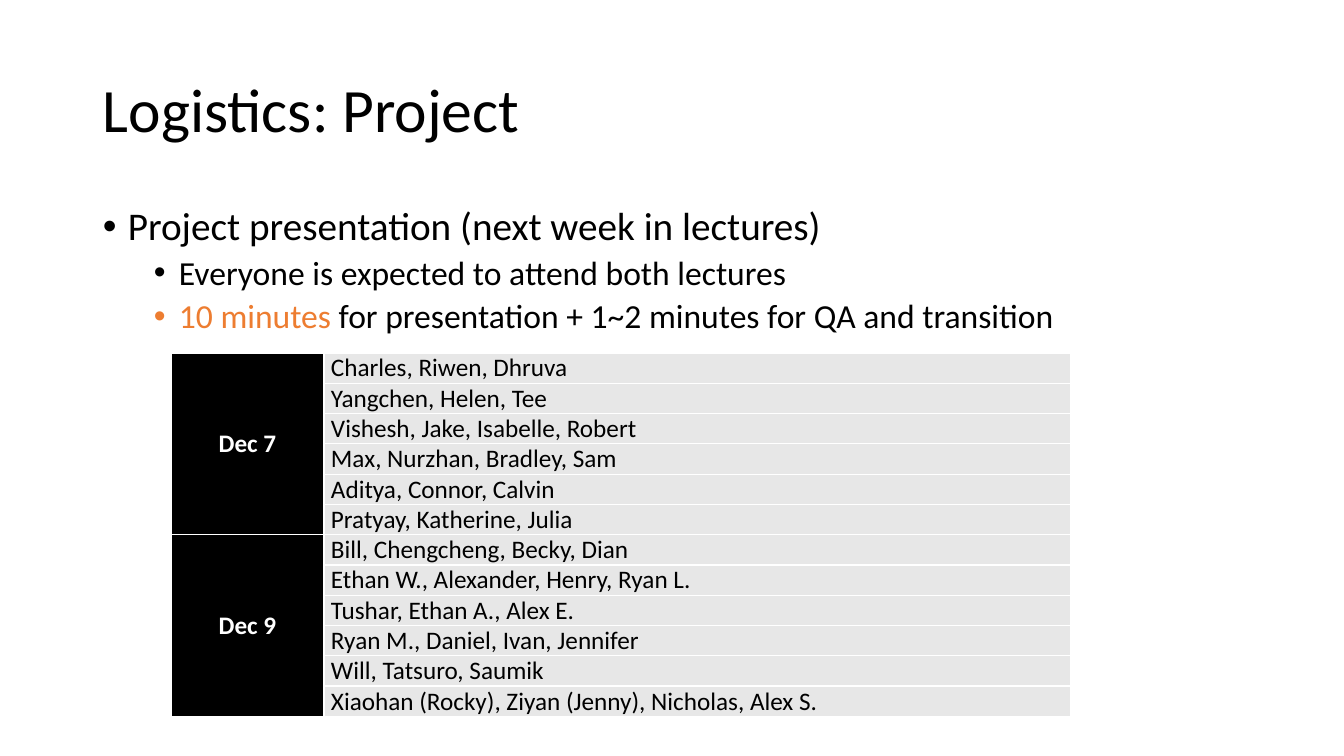
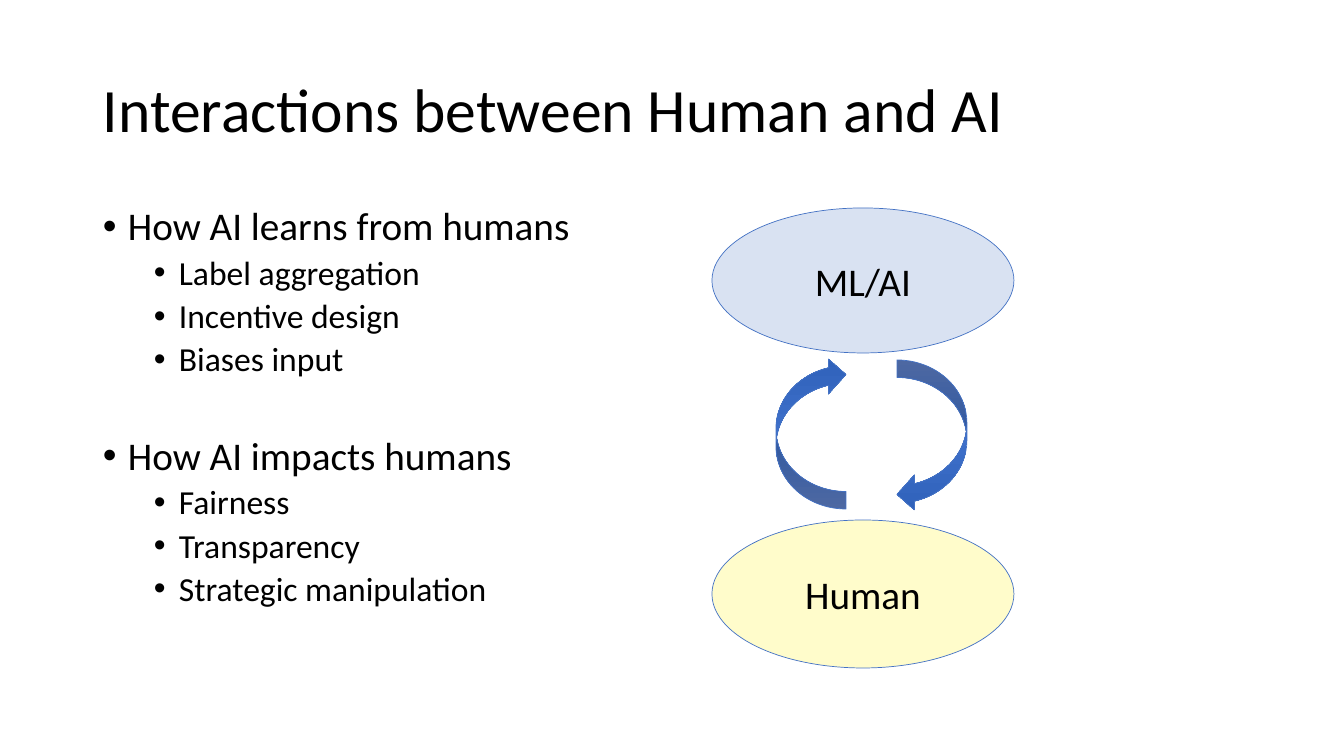
from lxml import etree
from pptx import Presentation
from pptx.dml.color import RGBColor
from pptx.enum.shapes import MSO_SHAPE
from pptx.enum.text import MSO_ANCHOR, PP_ALIGN
from pptx.oxml import parse_xml
from pptx.oxml.ns import nsdecls, qn
from pptx.util import Emu, Pt

OVAL = MSO_SHAPE.OVAL
CURVE = MSO_SHAPE.CURVED_RIGHT_ARROW
MIDDLE, BOTTOM = MSO_ANCHOR.MIDDLE, MSO_ANCHOR.BOTTOM
LEFT, CENTER = PP_ALIGN.LEFT, PP_ALIGN.CENTER

WIDE, HIGH = 1344, 756
SCALE = 12192000 / WIDE
FONT = "Calibri"
BLACK, WHITE, GREY = "000000", "FFFFFF", "E7E7E7"
ORANGE, BLUE = "ED7D31", "4472C4"
SHADES = [(0, "6183CB"), (50, "3E70CA"), (100, "3062BB")]
TITLE = (93, 40, 1159, 146)
BODY = (93, 202, 1159, 540)
SIZES = (28, 24)
INDENTS = (25, 76)
HANG = 25
BEFORE = (10, 5)

TEAMS = [
    ("Dec 7", [
        "Charles, Riwen, Dhruva",
        "Yangchen, Helen, Tee",
        "Vishesh, Jake, Isabelle, Robert",
        "Max, Nurzhan, Bradley, Sam",
        "Aditya, Connor, Calvin",
        "Pratyay, Katherine, Julia",
    ]),
    ("Dec 9", [
        "Bill, Chengcheng, Becky, Dian",
        "Ethan W., Alexander, Henry, Ryan L.",
        "Tushar, Ethan A., Alex E.",
        "Ryan M., Daniel, Ivan, Jennifer",
        "Will, Tatsuro, Saumik",
        "Xiaohan (Rocky), Ziyan (Jenny), Nicholas, Alex S.",
    ]),
]


def px(num):
    return Emu(round(num * SCALE))


def place(box):
    return [px(num) for num in box]


def color(code):
    return RGBColor.from_string(code)


def add_run(para, text, size, code=BLACK, bold=False):
    run = para.add_run()
    run.text = text
    run.font.name = FONT
    run.font.size = Pt(size)
    run.font.bold = bold
    run.font.color.rgb = color(code)


def text_box(slide, box):
    frame = slide.shapes.add_textbox(*place(box)).text_frame
    frame.word_wrap = True
    return frame


def add_title(slide, box, text):
    frame = text_box(slide, box)
    frame.vertical_anchor = MIDDLE
    para = frame.paragraphs[0]
    para.line_spacing = 0.9
    add_run(para, text, 44)


def add_bullet(para, level):
    props = para._p.get_or_add_pPr()
    props.set("marL", str(px(INDENTS[level])))
    props.set("indent", str(-px(HANG)))
    etree.SubElement(props, qn("a:buFont")).set("typeface", "Arial")
    etree.SubElement(props, qn("a:buChar")).set("char", "•")


def add_list(slide, box, items):
    frame = text_box(slide, box)
    for num, (level, gap, runs) in enumerate(items):
        para = frame.add_paragraph() if num else frame.paragraphs[0]
        para.level = level
        add_bullet(para, level)
        para.line_spacing = 0.9
        para.space_before = Pt(BEFORE[level] + gap if num else 0)
        for text, code in runs:
            add_run(para, text, SIZES[level], code)


def style_cell(cell, code, anchor):
    cell.margin_left = cell.margin_right = px(7)
    cell.margin_top = cell.margin_bottom = 0
    cell.vertical_anchor = anchor
    props = cell._tc.get_or_add_tcPr()
    for side in ("lnL", "lnR", "lnT", "lnB"):
        props.append(parse_xml(
            f'<a:{side} {nsdecls("a")} w="12700"><a:solidFill>'
            f'<a:srgbClr val="{WHITE}"/></a:solidFill></a:{side}>'))
    cell.fill.solid()
    cell.fill.fore_color.rgb = color(code)


def fill_cell(cell, text, code, align, bold):
    para = cell.text_frame.paragraphs[0]
    para.alignment = align
    add_run(para, text, 18, code, bold)


def add_teams(slide, box, days):
    count = sum(len(teams) for _, teams in days)
    table = slide.shapes.add_table(count, 2, *place(box)).table
    table.first_row = table.horz_banding = False
    table.columns[0].width = px(153)
    table.columns[1].width = px(box[2] - 153)
    row = 0
    for day, teams in days:
        first = row
        for team in teams:
            head, body = table.cell(row, 0), table.cell(row, 1)
            style_cell(head, BLACK, MIDDLE)
            style_cell(body, GREY, BOTTOM)
            fill_cell(body, team, BLACK, LEFT, False)
            row += 1
        table.cell(first, 0).merge(table.cell(row - 1, 0))
        fill_cell(table.cell(first, 0), day, WHITE, CENTER, True)


def add_shape(slide, kind, box):
    shape = slide.shapes.add_shape(kind, *place(box))
    shape.shadow.inherit = False
    shape.line.color.rgb = color(BLUE)
    shape.line.width = Pt(0.5)
    return shape


def add_oval(slide, box, text, code):
    shape = add_shape(slide, OVAL, box)
    shape.fill.solid()
    shape.fill.fore_color.rgb = color(code)
    tint = next(shape.element.spPr.iter(qn("a:srgbClr")))
    etree.SubElement(tint, qn("a:alpha")).set("val", "50000")
    frame = shape.text_frame
    frame.word_wrap = True
    frame.vertical_anchor = MIDDLE
    para = frame.paragraphs[0]
    para.alignment = CENTER
    add_run(para, text, 28)


def add_curve(slide, box, turn):
    shape = add_shape(slide, CURVE, box)
    shape.rotation = turn
    props = shape.element.spPr
    props.find(qn("a:xfrm")).set("flipH", "1")
    stops = "".join(
        f'<a:gs pos="{pos * 1000}"><a:srgbClr val="{code}"/></a:gs>'
        for pos, code in SHADES)
    props.find(qn("a:prstGeom")).addnext(parse_xml(
        f'<a:gradFill {nsdecls("a")} rotWithShape="1"><a:gsLst>{stops}</a:gsLst>'
        '<a:lin ang="5400000" scaled="0"/></a:gradFill>'))


def add_cycle(slide, box):
    left, top, width, height = box
    add_oval(slide, (left, top, width, 145), "ML/AI", "B4C7E7")
    add_oval(slide, (left, top + height - 148, width, 148), "Human", "FFFB99")
    add_curve(slide, (left + 185, top + 152, 70, 152), 0)
    add_curve(slide, (left + 64, top + 149, 70, 152), 180)


def plain(level, text, gap=0):
    return level, gap, [(text, BLACK)]


def add_page(deck, title, items):
    slide = deck.slides.add_slide(deck.slide_layouts[6])
    add_title(slide, TITLE, title)
    add_list(slide, BODY, items)
    return slide


def main():
    deck = Presentation()
    deck.slide_width, deck.slide_height = px(WIDE), px(HIGH)

    slide = add_page(deck, "Logistics: Project", [
        plain(0, "Project presentation (next week in lectures)"),
        plain(1, "Everyone is expected to attend both lectures"),
        (1, 0, [("10 minutes ", ORANGE),
                ("for presentation + 1~2 minutes for QA and transition", BLACK)]),
    ])
    add_teams(slide, (171, 353, 900, 360), TEAMS)

    slide = add_page(deck, "Interactions between Human and AI", [
        plain(0, "How AI learns from humans"),
        plain(1, "Label aggregation"),
        plain(1, "Incentive design"),
        plain(1, "Biases input"),
        plain(0, "How AI impacts humans", 31),
        plain(1, "Fairness"),
        plain(1, "Transparency"),
        plain(1, "Strategic manipulation"),
    ])
    add_cycle(slide, (712, 208, 302, 460))

    deck.save("out.pptx")


if __name__ == "__main__":
    main()
